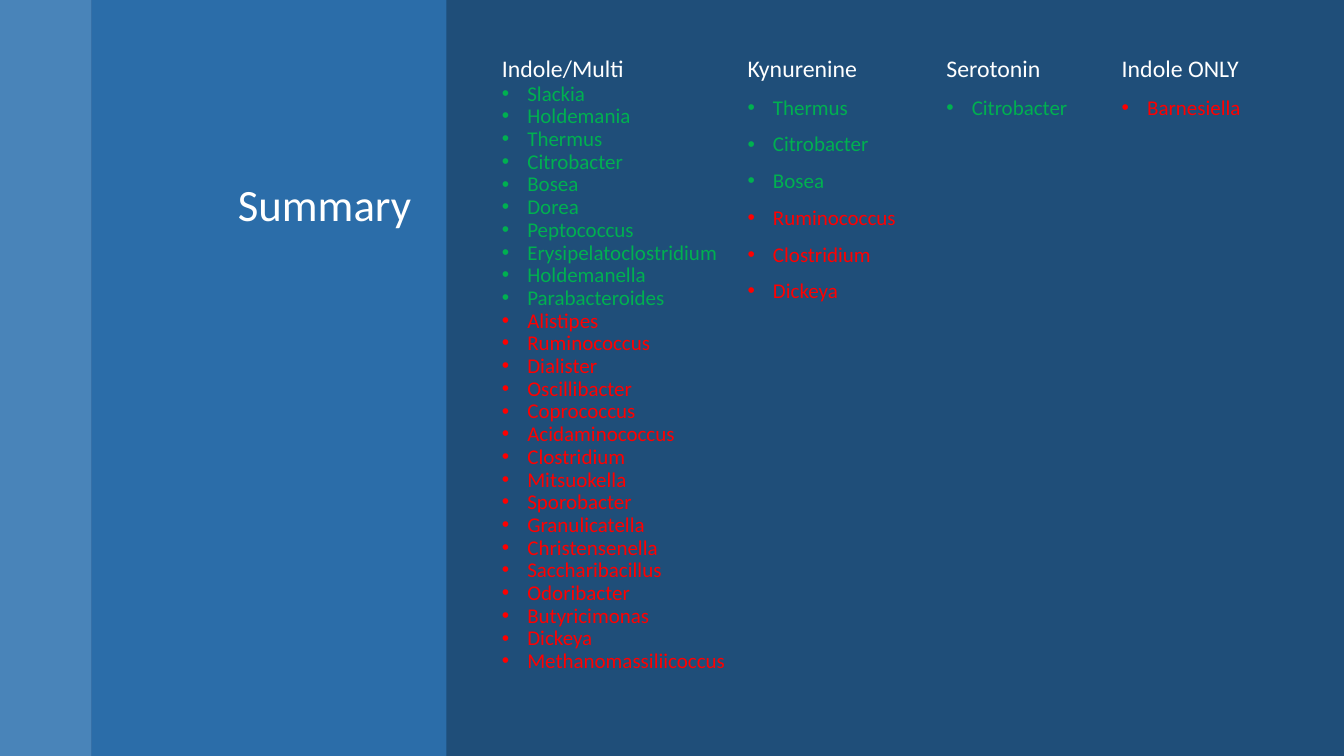
from lxml.etree import SubElement
from pptx import Presentation
from pptx.dml.color import RGBColor
from pptx.enum.shapes import MSO_SHAPE
from pptx.enum.text import MSO_ANCHOR, MSO_AUTO_SIZE, PP_ALIGN
from pptx.oxml.ns import qn
from pptx.util import Cm, Pt

COLORS = {
    "back": "1F4E79", "edge": "5B9BD5", "panel": "2E75B6",
    "text": "FFFFFF", "green": "00B050", "red": "FF0000",
}
HIGH = 19.05
TOP = 1.32

# heading, left, width, space before items, green names, red names
LISTS = [
    ("Indole/Multi", 12.4, 10.49, 0,
     ["Slackia", "Holdemania", "Thermus", "Citrobacter", "Bosea", "Dorea",
      "Peptococcus", "Erysipelatoclostridium", "Holdemanella",
      "Parabacteroides"],
     ["Alistipes", "Ruminococcus", "Dialister", "Oscillibacter",
      "Coprococcus", "Acidaminococcus", "Clostridium", "Mitsuokella",
      "Sporobacter", "Granulicatella", "Christensenella",
      "Saccharibacillus", "Odoribacter", "Butyricimonas", "Dickeya",
      "Methanomassiliicoccus"]),
    ("Kynurenine", 18.59, 4.75, 10,
     ["Thermus", "Citrobacter", "Bosea"],
     ["Ruminococcus", "Clostridium", "Dickeya"]),
    ("Serotonin", 23.6, 4.37, 10, ["Citrobacter"], []),
    ("Indole ONLY", 28.02, 3.76, 10, [], ["Barnesiella"]),
]


def paint(fill, name):
    fill.solid()
    fill.fore_color.rgb = RGBColor.from_string(COLORS[name])


def write(para, text, size, color):
    para.line_spacing = 0.9
    run = para.add_run()
    run.text = text
    run.font.name = "Calibri"
    run.font.size = Pt(size)
    run.font.color.rgb = RGBColor.from_string(COLORS[color])


def bullet(para):
    props = para._p.get_or_add_pPr()
    props.set("marL", str(Cm(0.64)))
    props.set("indent", str(-Cm(0.64)))
    SubElement(props, qn("a:buFont"), typeface="Arial")
    SubElement(props, qn("a:buChar"), char="•")


def add_band(slide, left, width, color, alpha):
    """Place a full-height translucent band behind the title."""
    band = slide.shapes.add_shape(
        MSO_SHAPE.RECTANGLE, Cm(left), 0, Cm(width), Cm(HIGH))
    band.shadow.inherit = False
    paint(band.fill, color)
    band.line.fill.background()
    tint = band.fill._xPr.find(qn("a:solidFill"))[0]
    SubElement(tint, qn("a:alpha"), val=str(alpha * 1000))
    title = slide.shapes.title._element
    title.addprevious(band._element)


def set_title(slide, left, top, width, height):
    title = slide.shapes.title
    title.left, title.top = Cm(left), Cm(top)
    title.width, title.height = Cm(width), Cm(height)
    frame = title.text_frame
    frame.word_wrap = True
    frame.auto_size = MSO_AUTO_SIZE.NONE
    frame.vertical_anchor = MSO_ANCHOR.TOP
    para = frame.paragraphs[0]
    para.alignment = PP_ALIGN.RIGHT
    write(para, "Summary", 32, "text")


def add_list(slide, head, left, width, gap, good, bad):
    box = slide.shapes.add_textbox(Cm(left), Cm(TOP), Cm(width), Cm(12.5))
    frame = box.text_frame
    frame.word_wrap = True
    para = frame.paragraphs[0]
    para.space_before = Pt(10)
    write(para, head, 17, "text")
    for color, names in (("green", good), ("red", bad)):
        for name in names:
            para = frame.add_paragraph()
            para.space_before = Pt(gap)
            write(para, name, 15, color)
            bullet(para)


def main():
    deck = Presentation()
    deck.slide_width, deck.slide_height = Cm(33.87), Cm(HIGH)
    slide = deck.slides.add_slide(deck.slide_layouts[5])
    paint(slide.background.fill, "back")
    add_band(slide, 0, 2.31, "edge", 70)
    add_band(slide, 2.31, 8.94, "panel", 80)
    set_title(slide, 2.77, 4.47, 7.85, 12.5)
    for entry in LISTS:
        add_list(slide, *entry)
    deck.save("out.pptx")


if __name__ == "__main__":
    main()
